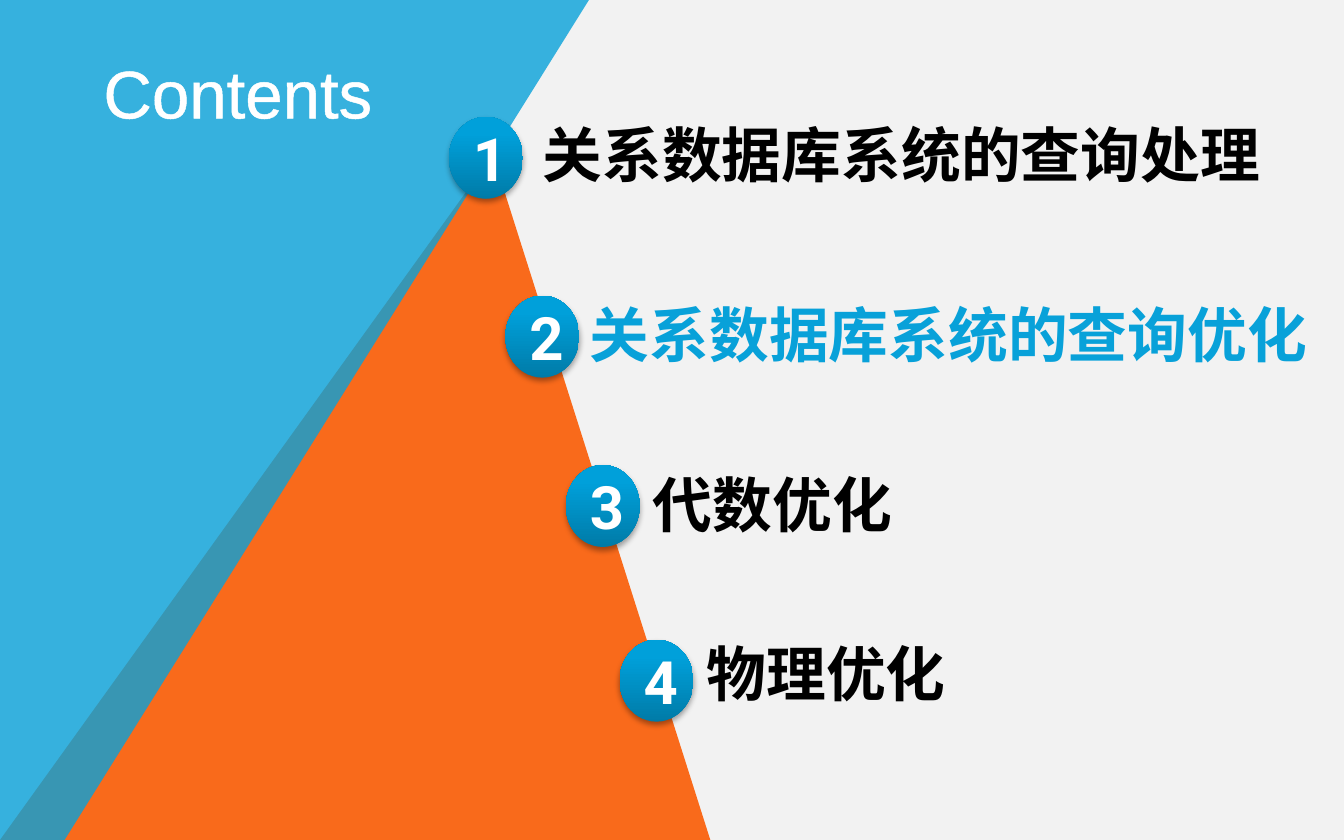
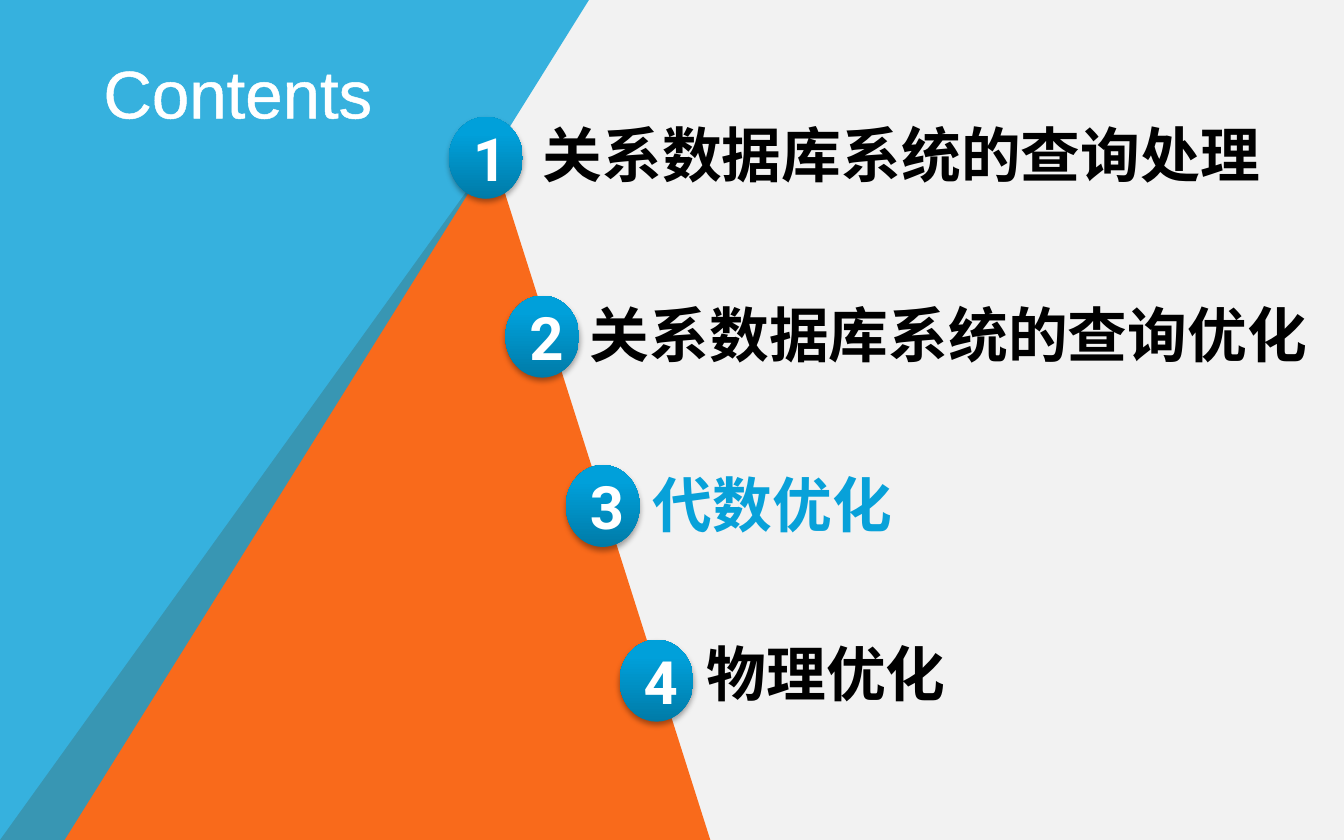
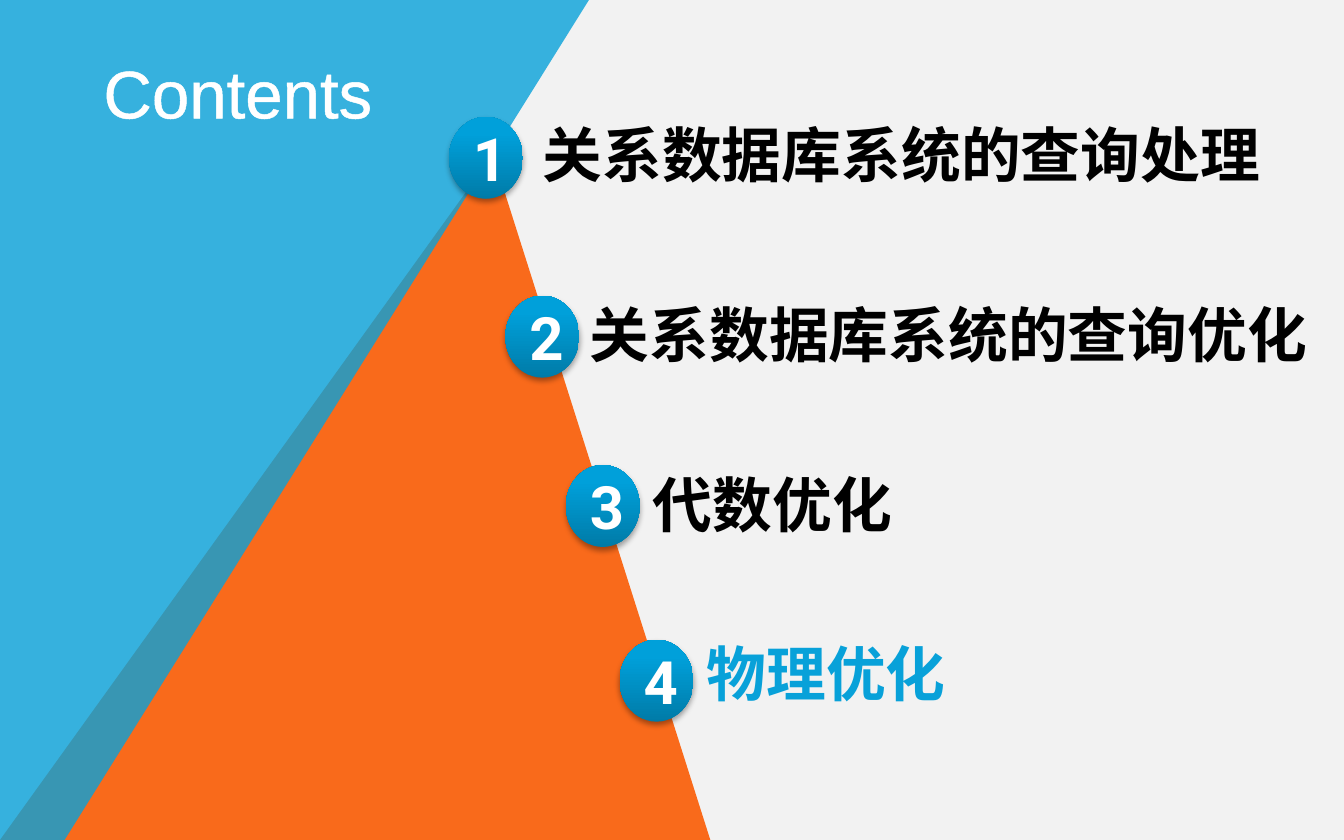
from pptx import Presentation
from pptx.dml.color import RGBColor
from pptx.enum.shapes import MSO_SHAPE
from pptx.enum.text import MSO_ANCHOR, MSO_AUTO_SIZE, PP_ALIGN
from pptx.oxml import parse_xml
from pptx.oxml.ns import nsdecls, qn
from pptx.util import Pt

OVAL = MSO_SHAPE.OVAL
TOP, MIDDLE = MSO_ANCHOR.TOP, MSO_ANCHOR.MIDDLE
FIXED_SIZE, GROW = MSO_AUTO_SIZE.NONE, MSO_AUTO_SIZE.SHAPE_TO_FIT_TEXT
LEFT, CENTER = PP_ALIGN.LEFT, PP_ALIGN.CENTER

BACKGROUND = RGBColor(0xF2, 0xF2, 0xF2)
ORANGE = RGBColor(0xF9, 0x6A, 0x1B)
BLUE = RGBColor(0x08, 0xA1, 0xD9)
WHITE = RGBColor(0xFF, 0xFF, 0xFF)
BLACK = RGBColor(0x00, 0x00, 0x00)
BADGE_DARK = RGBColor(0x00, 0x7B, 0xA8)
BADGE_MIDDLE = RGBColor(0x00, 0xA0, 0xDA)
BADGE_LIGHT = RGBColor(0x00, 0xA0, 0xDB)

TITLE_FONT = {"name": "Arial", "size": Pt(36), "bold": False}
BADGE_FONT = {"name": "Roboto", "size": Pt(32), "bold": True}
LABEL_FONT = {"name": "Arial", "size": Pt(32), "bold": True}

TITLE_ONLY = 5
TITLE_BOX = (48.2, 20.2, 193, 42.5)
BADGE_SIZE = (39.6, 43.9)
LABEL_HEIGHT = 46
ORANGE_PEAK = [(0, 450), (264, 83), (381, 451.5)]
BLUE_SIDE = [(-0.7, 453), (-0.7, -0.7), (316, -0.7), (34, 451)]

TOPICS = [
    ("关系数据库系统的查询处理", (240.5, 62.6), (283.7, 59.8), 405.4),
    ("关系数据库系统的查询优化", (270.7, 158.4), (308.9, 156.2), 402.5),
    ("代数优化", (303.1, 249.1), (342.7, 247), 143.3),
    ("物理优化", (331.9, 342.7), (371.5, 337.7), 153.4),
]
CURRENT_TOPICS = (2, 3, 4)


def points(values):
    """Convert plain numbers to lengths in points."""
    return [Pt(value) for value in values]


def write_text(shape, text, font_values, color, alignment):
    """Write one formatted run and return it."""
    paragraph = shape.text_frame.paragraphs[0]
    paragraph.alignment = alignment
    run = paragraph.add_run()
    run.text = text
    for name, value in font_values.items():
        setattr(run.font, name, value)
    run.font.color.rgb = color
    return run


def add_outline(run, color, width):
    """Outline the letters of a run."""
    run.font._element.insert(0, parse_xml(
        f'<a:ln {nsdecls("a")} w="{Pt(width)}"><a:solidFill>'
        f'<a:srgbClr val="{color}"/></a:solidFill></a:ln>'))


def add_polygon(slide, layout, corners, color, opacity=100):
    """Draw a filled polygon and place it on the layout."""
    corners = [points(corner) for corner in corners]
    builder = slide.shapes.build_freeform(*corners[0])
    builder.add_line_segments(corners[1:], close=True)
    shape = builder.convert_to_shape()
    shape.shadow.inherit = False
    shape.line.fill.background()
    shape.fill.solid()
    shape.fill.fore_color.rgb = color
    if opacity < 100:
        solid_color = next(shape.element.spPr.iter(qn("a:srgbClr")))
        solid_color.append(parse_xml(
            f'<a:alpha {nsdecls("a")} val="{opacity * 1000}"/>'))
    layout.shapes.element.append(shape.element)


def decorate_layout(slide, layout):
    """Give the shared layout its background and two panels."""
    layout.background.fill.solid()
    layout.background.fill.fore_color.rgb = BACKGROUND
    add_polygon(slide, layout, ORANGE_PEAK, ORANGE)
    add_polygon(slide, layout, BLUE_SIDE, BLUE, opacity=80)


def set_title(slide, text):
    """Move and fill the title placeholder."""
    title = slide.shapes.title
    title.left, title.top, title.width, title.height = points(TITLE_BOX)
    frame = title.text_frame
    frame.auto_size = FIXED_SIZE
    frame.vertical_anchor = TOP
    frame.margin_top = Pt(7.2)
    add_outline(write_text(title, text, TITLE_FONT, WHITE, LEFT), WHITE, 1.45)


def add_badge(slide, number, position):
    """Add a numbered oval with a gradient and a soft shadow."""
    badge = slide.shapes.add_shape(OVAL, *points(position + BADGE_SIZE))
    badge.line.fill.background()
    badge.fill.gradient()
    badge.fill.gradient_angle = 90
    for stop, color in zip(badge.fill.gradient_stops, (BADGE_DARK, BADGE_LIGHT)):
        stop.color.rgb = color
    properties = badge.element.spPr
    next(properties.iter(qn("a:gsLst"))).insert(1, parse_xml(
        f'<a:gs {nsdecls("a")} pos="80000"><a:srgbClr val="{BADGE_MIDDLE}"/></a:gs>'))
    badge.shadow.inherit = False
    properties.find(qn("a:effectLst")).append(parse_xml(
        f'<a:outerShdw {nsdecls("a")} blurRad="{Pt(3.1)}" dist="{Pt(1.8)}" '
        f'dir="5400000" rotWithShape="0"><a:srgbClr val="{BLACK}">'
        '<a:alpha val="35000"/></a:srgbClr></a:outerShdw>'))
    badge.text_frame.vertical_anchor = MIDDLE
    write_text(badge, str(number), BADGE_FONT, WHITE, CENTER)


def add_label(slide, text, position, width, color):
    """Add the topic name beside its badge."""
    label = slide.shapes.add_textbox(*points(position + (width, LABEL_HEIGHT)))
    label.text_frame.word_wrap = True
    label.text_frame.auto_size = GROW
    write_text(label, text, LABEL_FONT, color, LEFT)


def fill_contents(slide, current):
    """List all topics and highlight the current one."""
    set_title(slide, "Contents")
    for number, (text, badge_at, label_at, width) in enumerate(TOPICS, start=1):
        add_badge(slide, number, badge_at)
        color = BLUE if number == current else BLACK
        add_label(slide, text, label_at, width, color)


def main():
    """Build one contents slide for each current topic."""
    presentation = Presentation()
    presentation.slide_width, presentation.slide_height = Pt(720), Pt(450)
    layout = presentation.slide_layouts[TITLE_ONLY]
    slides = [presentation.slides.add_slide(layout) for _ in CURRENT_TOPICS]
    decorate_layout(slides[0], layout)
    for slide, current in zip(slides, CURRENT_TOPICS):
        fill_contents(slide, current)
    presentation.save("out.pptx")


if __name__ == "__main__":
    main()
